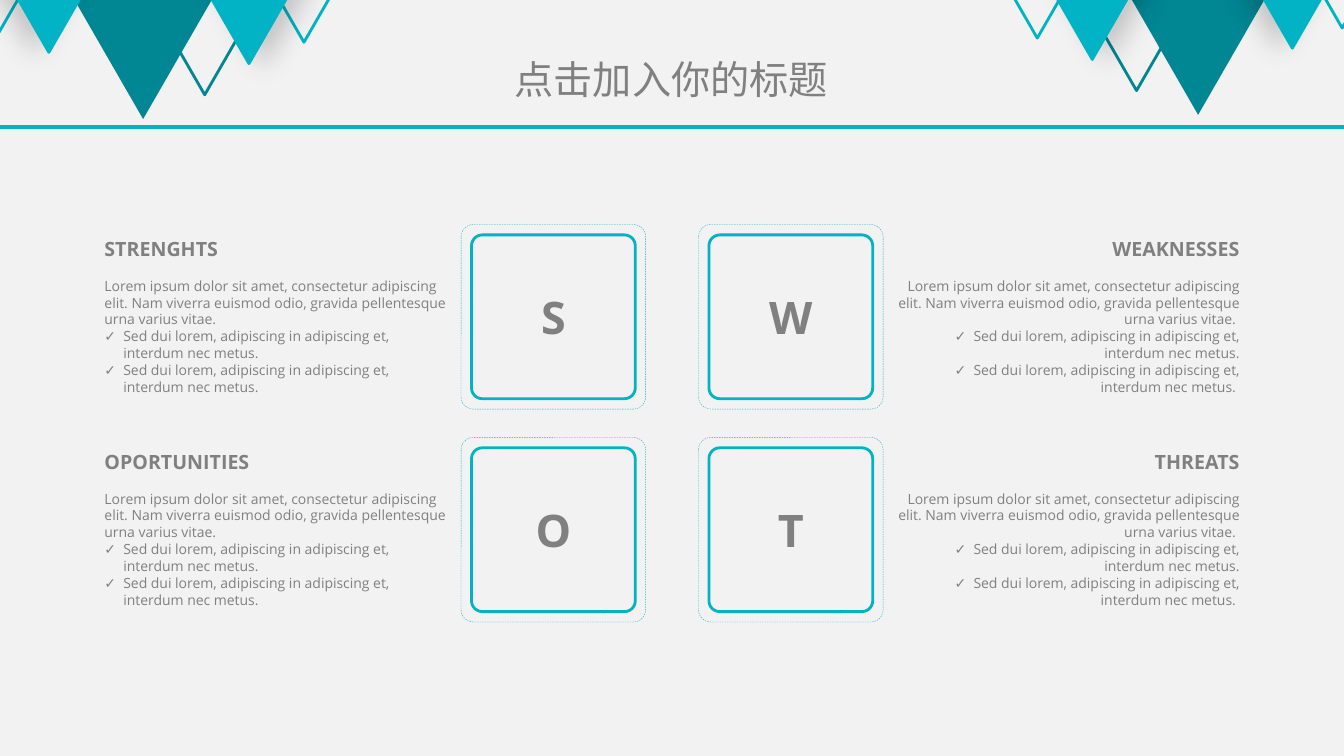
"""Build a SWOT slide with four lettered squares and triangle bunting."""
from lxml import etree
from pptx import Presentation
from pptx.dml.color import RGBColor
from pptx.enum import dml, shapes, text
from pptx.oxml import ns
from pptx.util import Pt

BACKGROUND = RGBColor(0xF2, 0xF2, 0xF2)
GREY = RGBColor(0x80, 0x80, 0x80)
TEAL = RGBColor(0x01, 0xB3, 0xC5)
DARK_TEAL = RGBColor(0x01, 0x86, 0x94)

INTRO = ("Lorem ipsum dolor sit amet, consectetur adipiscing elit. Nam viverra euismod odio, "
         "gravida pellentesque urna varius vitae.")
POINT = "Sed dui lorem, adipiscing in adipiscing et, interdum nec metus."
TOPICS = [("S", "STRENGHTS"), ("W", "WEAKNESSES"), ("O", "OPORTUNITIES"), ("T", "THREATS")]
COLUMNS = [(67.4, text.PP_ALIGN.LEFT, ""), (631.2, text.PP_ALIGN.RIGHT, " ")]

TRIANGLES = [
    (146.2, 67.7, 208.8, None, DARK_TEAL, None),
    (217.1, 30.2, 186.5, None, TEAL, None),
    (-0.7, 23, 168.5, None, TEAL, None),
    (102.2, 85, 229, DARK_TEAL, None, None),
    (177.8, 45.4, 204.5, TEAL, TEAL, 0),
    (34.9, 37.4, 185, TEAL, TEAL, 180),
]


def add_outlined(kind, left, top, width, height, fill, line, weight):
    shape = slide.shapes.add_shape(kind, Pt(left), Pt(top), Pt(width), Pt(height))
    shape.shadow.inherit = False
    if fill is None:
        shape.fill.background()
    else:
        shape.fill.solid()
        shape.fill.fore_color.rgb = fill
    if line is None:
        shape.line.fill.background()
    else:
        shape.line.color.rgb = line
        shape.line.width = Pt(weight)
    return shape


def format_paragraph(paragraph, size, bold, alignment, bullet=None):
    properties = paragraph._p.get_or_add_pPr()
    indent = Pt(13.5) if bullet else 0
    properties.set("marL", str(indent))
    properties.set("indent", str(-indent))
    if bullet:
        etree.SubElement(properties, ns.qn("a:buFont")).set("typeface", "Open Sans")
        etree.SubElement(properties, ns.qn("a:buChar")).set("char", bullet)
    else:
        etree.SubElement(properties, ns.qn("a:buNone"))
    paragraph.alignment = alignment
    paragraph.space_before = Pt(0)
    paragraph.font.name = "Open Sans"
    paragraph.font.size = Pt(size)
    paragraph.font.bold = bold
    paragraph.font.color.rgb = GREY


presentation = Presentation()
presentation.slide_width = Pt(960)
presentation.slide_height = Pt(540)
slide = presentation.slides.add_slide(presentation.slide_layouts.get_by_name("Comparison"))
slide.background.fill.solid()
slide.background.fill.fore_color.rgb = BACKGROUND

title, *bodies = slide.placeholders
title.left, title.top, title.width, title.height = Pt(344), Pt(39.6), Pt(271), Pt(33.8)
frame = title.text_frame
frame.margin_left = frame.margin_right = frame.margin_top = frame.margin_bottom = 0
frame.auto_size = text.MSO_AUTO_SIZE.NONE
frame.word_wrap = False
frame.vertical_anchor = text.MSO_ANCHOR.MIDDLE
frame.text = "点击加入你的标题"
heading = frame.paragraphs[0]
heading.alignment = text.PP_ALIGN.CENTER
heading.font.size = Pt(28)
heading.font.color.rgb = GREY
heading.font.name = "Noto Sans CJK SC"
east_asian = etree.SubElement(heading.runs[0]._r.get_or_add_rPr(), ns.qn("a:ea"))
east_asian.set("typeface", "Noto Sans CJK SC")

rule = slide.shapes.add_connector(shapes.MSO_CONNECTOR.STRAIGHT, 0, Pt(90.7), Pt(960), Pt(90.7))
rule.line.color.rgb = TEAL
rule.line.width = Pt(3)
etree.SubElement(rule._element.spPr, ns.qn("a:effectLst"))

for mirrored in (True, False):
    for center, tip, width, fill, line, shadow_angle in TRIANGLES:
        if mirrored:
            center, tip = 958 - center, tip - 3
        height = width * 0.868
        triangle = add_outlined(shapes.MSO_SHAPE.ISOSCELES_TRIANGLE, center - width / 2,
                                tip - height, width, height, fill, line, 2)
        triangle.rotation = 180
        if shadow_angle is not None:
            effects = triangle._element.spPr.find(ns.qn("a:effectLst"))
            shadow = etree.SubElement(effects, ns.qn("a:outerShdw"), blurRad=str(Pt(20)),
                                      dist=str(Pt(10)), dir=str(shadow_angle * 60000),
                                      rotWithShape="0")
            color = etree.SubElement(shadow, ns.qn("a:srgbClr"), val="000000")
            etree.SubElement(color, ns.qn("a:alpha"), val="20000")

for index, (letter, name) in enumerate(TOPICS):
    row, column = divmod(index, 2)
    left, top = 329.4 + column * 169.6, 160.4 + row * 152.1
    for inset, weight in ((7.4, 2), (0, 0.25)):
        side = 131.8 - 2 * inset
        square = add_outlined(shapes.MSO_SHAPE.ROUNDED_RECTANGLE, left + inset, top + inset,
                              side, side, None, TEAL, weight)
        square.adjustments[0] = 0.066
        if inset:
            square.text_frame.text = letter
            square.text_frame.vertical_anchor = text.MSO_ANCHOR.MIDDLE
            format_paragraph(square.text_frame.paragraphs[0], 32, True, text.PP_ALIGN.CENTER)
        else:
            square.line.dash_style = dml.MSO_LINE.DASH

    text_left, alignment, ending = COLUMNS[column]
    body = bodies[index]
    body.left, body.top = Pt(text_left), Pt(165.6 + row * 152.1)
    body.width, body.height = Pt(261.4), Pt(121)
    frame = body.text_frame
    frame.auto_size = text.MSO_AUTO_SIZE.NONE
    frame.vertical_anchor = text.MSO_ANCHOR.TOP
    frame.text = "\n".join([name, INTRO + ending, POINT, POINT + ending])
    title_line, intro, *points = frame.paragraphs
    format_paragraph(title_line, 14, True, alignment)
    format_paragraph(intro, 10, False, alignment)
    intro.space_before = Pt(12)
    for point in points:
        format_paragraph(point, 10, False, alignment, "✓")

presentation.save("out.pptx")
